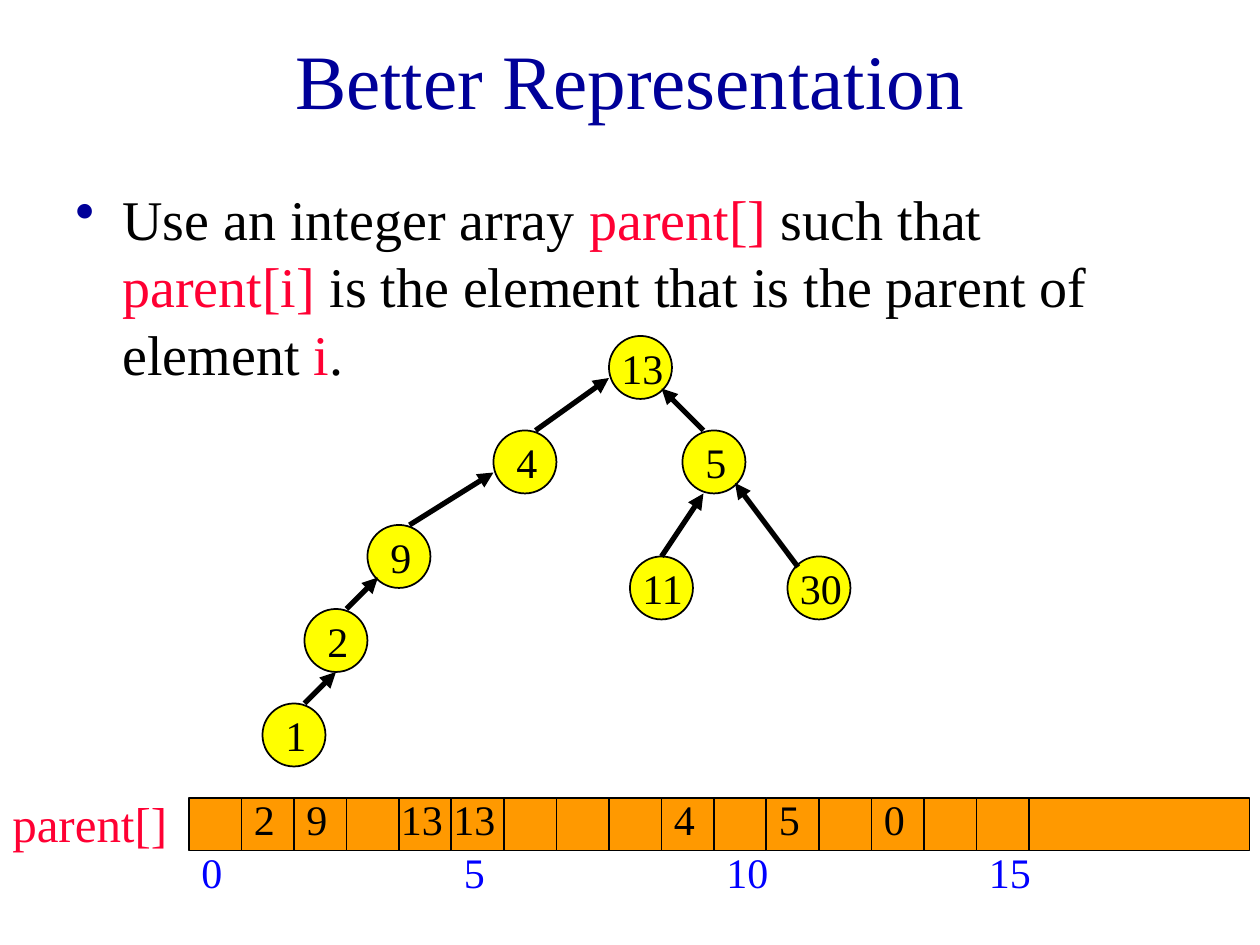
"""Build the slide on storing a tree as an array of parents."""
import lxml.etree
import pptx
import pptx.dml.color
import pptx.enum.shapes
import pptx.enum.text
import pptx.oxml.ns
import pptx.util

NAVY = pptx.dml.color.RGBColor(0x00, 0x00, 0x99)
BLUE = pptx.dml.color.RGBColor(0x00, 0x00, 0xFF)
RED = pptx.dml.color.RGBColor(0xFF, 0x00, 0x33)
BLACK = pptx.dml.color.RGBColor(0x00, 0x00, 0x00)
YELLOW = pptx.dml.color.RGBColor(0xFF, 0xFF, 0x00)
ORANGE = pptx.dml.color.RGBColor(0xFF, 0x99, 0x00)

OVAL = pptx.enum.shapes.MSO_SHAPE.OVAL
RECTANGLE = pptx.enum.shapes.MSO_SHAPE.RECTANGLE
GRID = 2.54 / 12

NODES = [
    ("4", 47, 41, 4), ("2", 29, 58, 4), ("9", 35, 50, 4), ("11", 60, 53, 9),
    ("30", 75, 53, 10), ("5", 65, 41, 4), ("13", 58, 32, 7), ("1", 25, 67, 4),
]
ARROWS = [
    (58, 36, 51, 41), (47, 45, 39, 50), (63, 37, 67, 41), (36, 55, 33, 58),
    (67, 47, 63, 53), (70, 46, 76, 54), (32, 64, 29, 67),
]
PARENTS = {1: "2", 2: "9", 4: "13", 5: "13", 9: "4", 11: "5", 13: "0"}
ARRAY_LEFT, ARRAY_TOP, CELL, CELLS = 18, 76, 5, 16


def lengths(*units):
    return [pptx.util.Cm(unit * GRID) for unit in units]


def assign(target, values):
    for name, value in values.items():
        setattr(target, name, value)


class Drawing:
    """Hold the text style and the current slide."""

    def __init__(self, page, font="Times New Roman"):
        self.page = page
        self.font = font

    def text(self, place, spans, size, frame_format=None, para_format=None):
        box = self.page.shapes.add_textbox(*lengths(*place))
        assign(box.text_frame, {"word_wrap": True, **(frame_format or {})})
        para = box.text_frame.paragraphs[0]
        assign(para, para_format or {})
        for words, color in spans:
            span = para.add_run()
            span.text = words
            assign(span.font, {"name": self.font, "size": pptx.util.Pt(size)})
            span.font.color.rgb = color
        return para

    def bullet(self, para, indent, color):
        properties = para._p.get_or_add_pPr()
        properties.set("marL", str(pptx.util.Cm(indent)))
        properties.set("indent", str(-pptx.util.Cm(indent)))
        tag = pptx.oxml.ns.qn
        tint = lxml.etree.SubElement(properties, tag("a:buClr"))
        lxml.etree.SubElement(tint, tag("a:srgbClr"), val=str(color))
        lxml.etree.SubElement(properties, tag("a:buChar"), char="•")

    def shape(self, kind, place, fill):
        shape = self.page.shapes.add_shape(kind, *lengths(*place))
        shape.shadow.inherit = False
        shape.fill.solid()
        shape.fill.fore_color.rgb = fill
        shape.line.color.rgb = BLACK
        shape.line.width = pptx.util.Pt(1)

    def node(self, label, left, top, width):
        self.shape(OVAL, (left, top, 6, 6), YELLOW)
        shift = 1 if len(label) == 1 else 0
        self.text((left + shift, top, width, 6), [(label, BLACK)], 24)

    def arrow(self, ends):
        straight = pptx.enum.shapes.MSO_CONNECTOR.STRAIGHT
        line = self.page.shapes.add_connector(straight, *lengths(*ends))
        line.line.color.rgb = BLACK
        line.line.width = pptx.util.Pt(3)
        tag = pptx.oxml.ns.qn
        lxml.etree.SubElement(line.line._get_or_add_ln(), tag("a:headEnd"), type="triangle")
        lxml.etree.SubElement(line._element.spPr, tag("a:effectLst"))

    def array(self):
        for index in range(CELLS + 1):
            width = CELL if index < CELLS else 21
            self.shape(RECTANGLE, (ARRAY_LEFT + index * CELL, ARRAY_TOP, width, CELL), ORANGE)
        self.text((0, ARRAY_TOP - 1, 18, 7), [("parent[]", RED)], 28)
        for index in range(0, CELLS, 5):
            left = ARRAY_LEFT + index * CELL
            self.text((left, ARRAY_TOP + 4, 5 if index < 10 else 8, 6), [(str(index), BLUE)], 24)
        for index, parent in PARENTS.items():
            left = ARRAY_LEFT + index * CELL + 1 - len(parent)
            self.text((left, ARRAY_TOP - 1, 9, 6), [(parent, BLACK)], 24)


def main():
    deck = pptx.Presentation()
    assign(deck, {"slide_width": pptx.util.Cm(25.4), "slide_height": pptx.util.Cm(19.05)})
    drawing = Drawing(deck.slides.add_slide(deck.slide_layouts[6]))
    drawing.text(
        (9, 2, 102, 11), [("Better Representation", NAVY)], 44,
        {"vertical_anchor": pptx.enum.text.MSO_ANCHOR.MIDDLE},
        {"alignment": pptx.enum.text.PP_ALIGN.CENTER},
    )
    statement = [
        ("Use an integer array ", BLACK), ("parent[]", RED), (" such that ", BLACK),
        ("parent[i]", RED), (" is the element that is the parent of element ", BLACK),
        ("i", RED), (".", BLACK),
    ]
    para = drawing.text((6, 17, 102, 23), statement, 32, None, {"space_before": pptx.util.Pt(8)})
    drawing.bullet(para, 0.95, NAVY)
    for node in NODES:
        drawing.node(*node)
    for ends in ARROWS:
        drawing.arrow(ends)
    drawing.array()
    deck.save("out.pptx")


if __name__ == "__main__":
    main()
